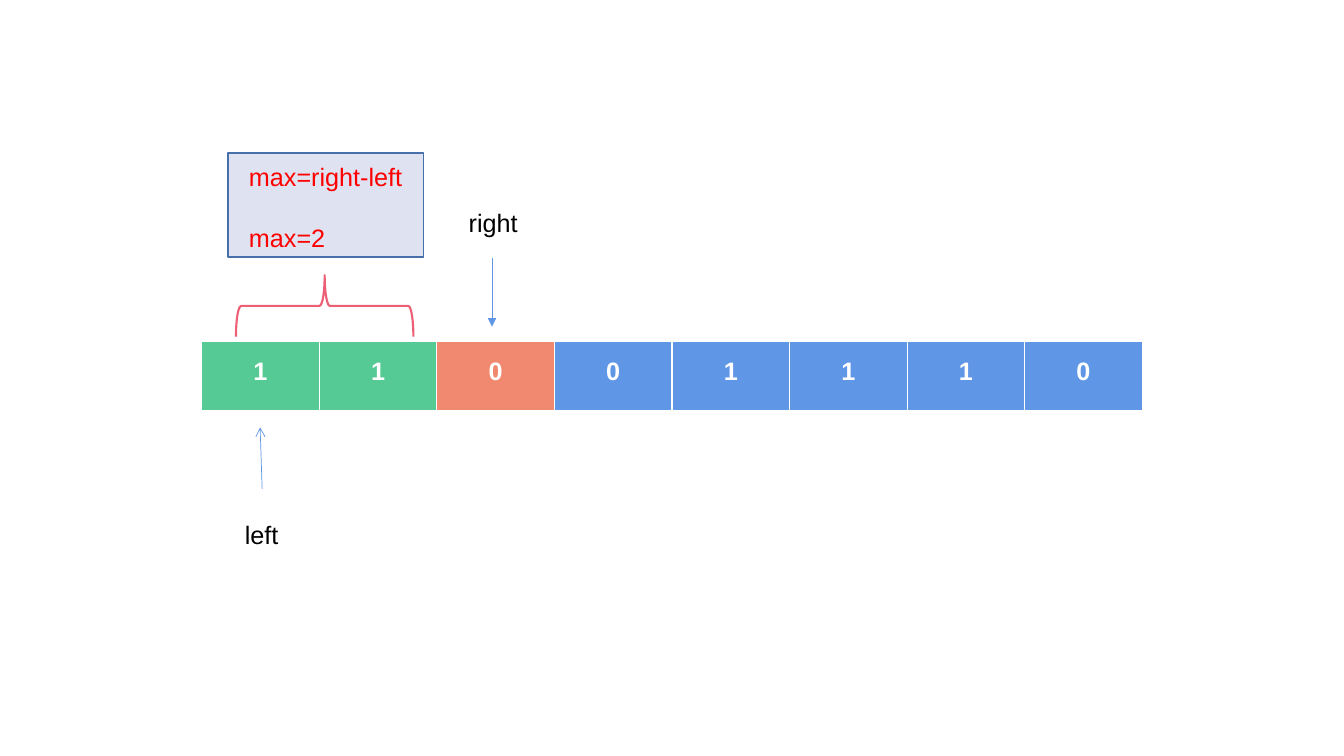
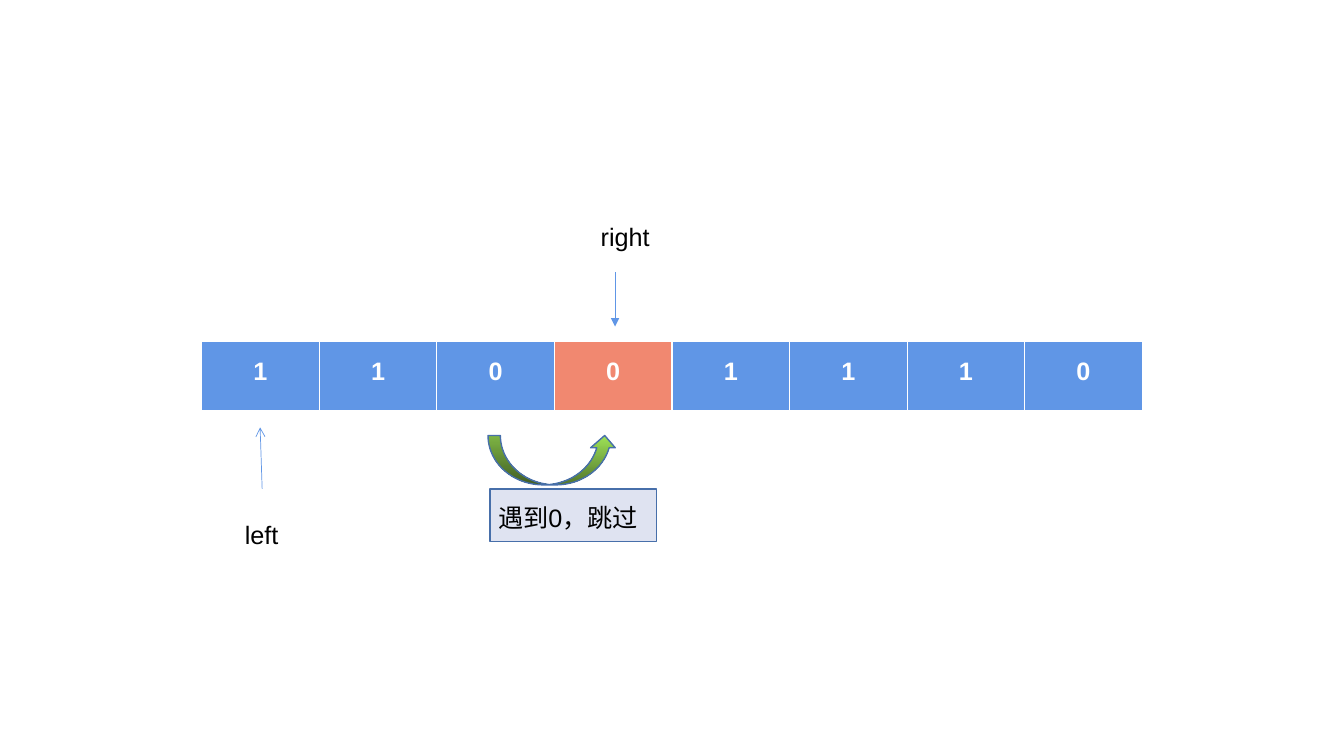
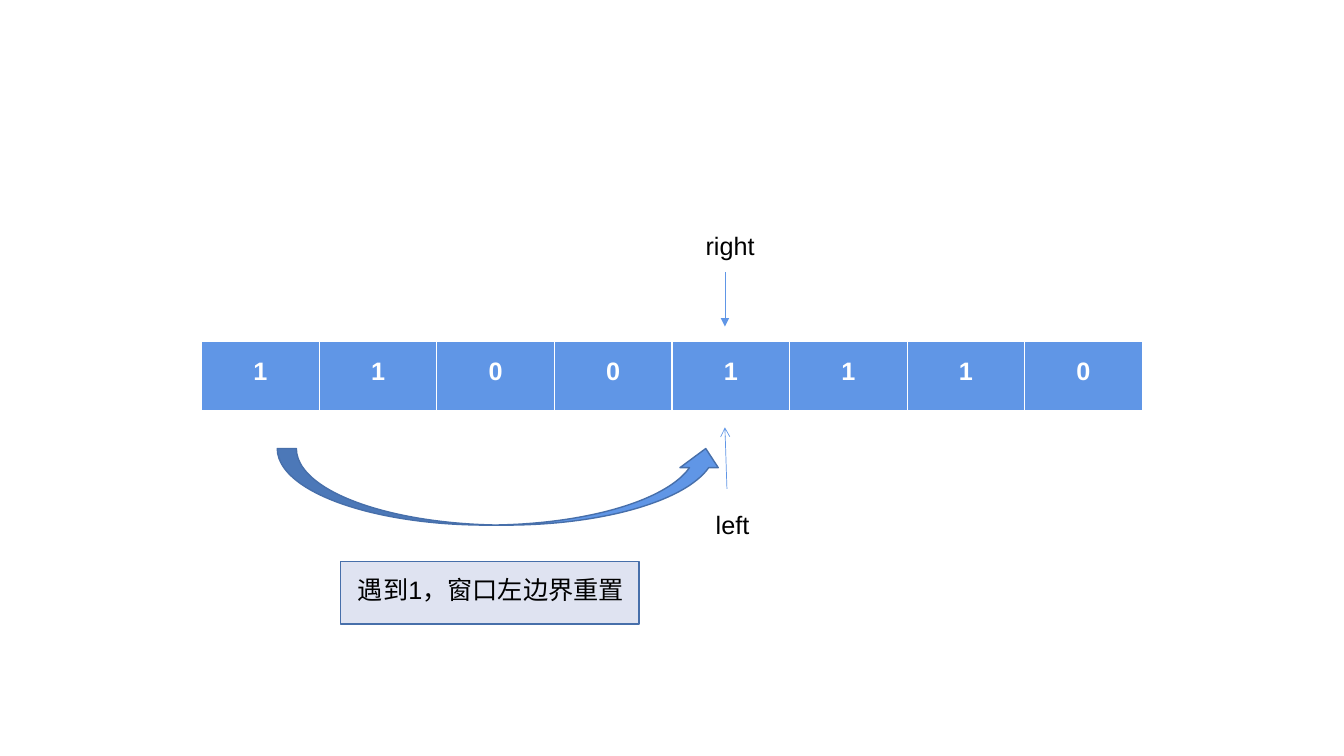
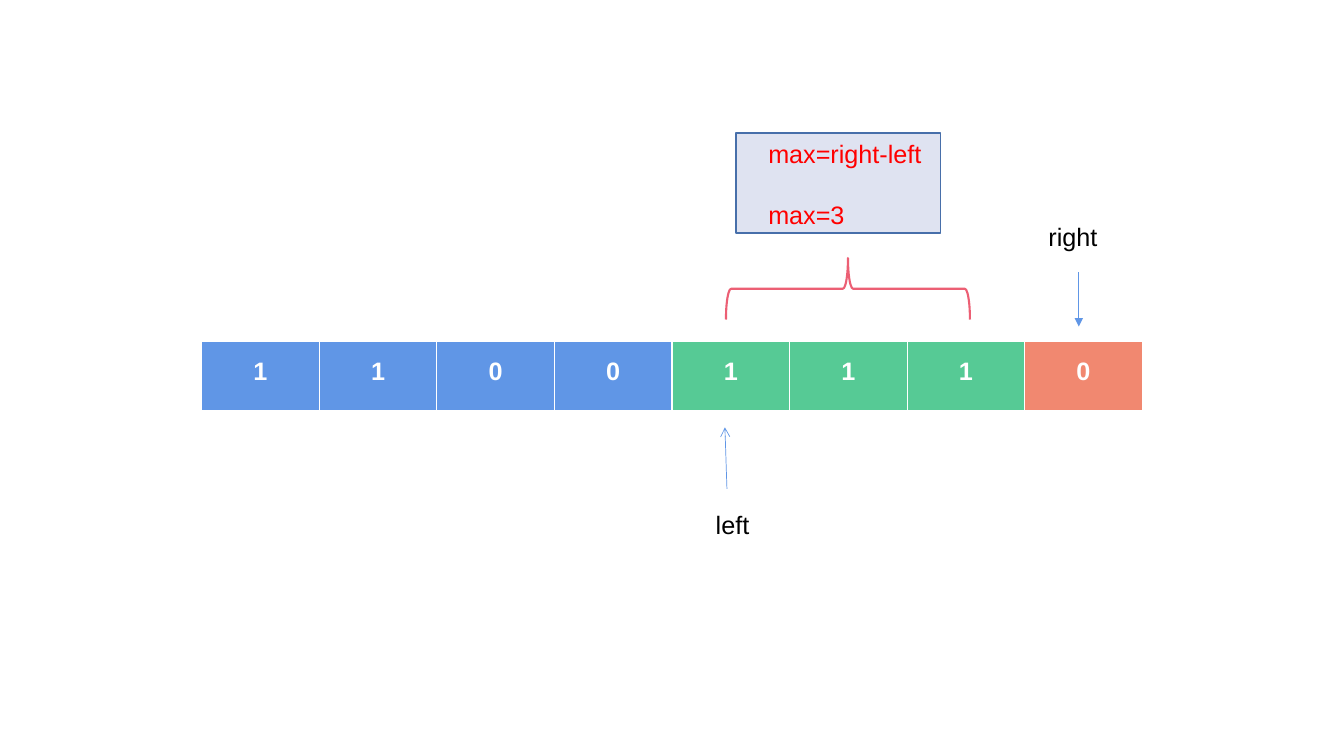
from lxml import etree
from pptx import Presentation
from pptx.dml.color import RGBColor
from pptx.enum.shapes import MSO_CONNECTOR, MSO_SHAPE
from pptx.enum.text import MSO_ANCHOR, PP_ALIGN
from pptx.oxml.ns import qn
from pptx.util import Pt

RECTANGLE = MSO_SHAPE.RECTANGLE
LEFT_BRACE = MSO_SHAPE.LEFT_BRACE
CURVED_ARROW = MSO_SHAPE.CURVED_UP_ARROW
STRAIGHT = MSO_CONNECTOR.STRAIGHT
TOP = MSO_ANCHOR.TOP
LEFT, CENTER = PP_ALIGN.LEFT, PP_ALIGN.CENTER

PX = 9144  # EMU in one px, 100 px to the inch
FONT, TEXT_SIZE = "Arial", 18
COLORS = {
    "cell": "6096E6", "window": "56CA95", "zero": "F18870",
    "note": "DFE3F1", "edge": "476FAA", "brace": "EC5F74",
    "white": "FFFFFF", "black": "000000", "red": "FF0000",
    "leaf": "9EE256", "moss": "52762D",
}

NUMBERS = [1, 1, 0, 0, 1, 1, 1, 0]
ARRAY = (200, 339, 933, 70)
BORDERS = {"a:lnL": 1, "a:lnR": 1, "a:lnT": 1, "a:lnB": 3}
RIGHT_TIP, LEFT_TIP, LEFT_START = 324, 424, 485
BRACE_HEIGHT = 61

# Boxes are left, top, width, height; insets are left, top.
# Pointers give the arrow's x and the label's left and top.
STEPS = [
    {"window": [0, 1], "zero": 2,
     "right": {"x": 488, "start": 256, "label": (455, 201)},
     "left": {"x": 258, "label": (233, 510)},
     "brace": (234, 273, 176),
     "note": {"lines": ["max=right-left", "max=2"], "color": "red",
              "box": (226, 152, 194, 103), "inset": (21, 8)}},
    {"window": [], "zero": 3,
     "right": {"x": 610, "start": 270, "label": (586, 215)},
     "left": {"x": 258, "label": (233, 510)},
     "jump": {"box": (484, 432, 128, 49), "colors": ["leaf", "moss"]},
     "note": {"lines": ["遇到0，跳过"], "color": "black",
              "box": (486, 485, 165, 52), "inset": (8, 13)}},
    {"window": [], "zero": None,
     "right": {"x": 719, "start": 270, "label": (690, 224)},
     "left": {"x": 719, "label": (700, 500)},
     "jump": {"box": (275, 445, 444, 76), "colors": ["cell"]},
     "note": {"lines": ["遇到1，窗口左边界重置"], "color": "black",
              "box": (338, 557, 296, 62), "inset": (17, 13)}},
    {"window": [4, 5, 6], "zero": 7,
     "right": {"x": 1070, "start": 270, "label": (1030, 215)},
     "left": {"x": 719, "label": (700, 500)},
     "brace": (720, 256, 242),
     "note": {"lines": ["max=right-left", "max=3"], "color": "red",
              "box": (730, 132, 203, 99), "inset": (32, 5)}},
]


def rgb(name):
    return RGBColor.from_string(COLORS[name])


def emu(*lengths):
    return [round(length * PX) for length in lengths]


def write(frame, lines, color="black", bold=False, align=LEFT,
          line_spacing=None, gap=0, inset=(10, 5), right_inset=10):
    """Fill a text frame, one paragraph a line, with gap points between."""
    frame.word_wrap = True
    frame.vertical_anchor = TOP
    frame.margin_left, frame.margin_top, frame.margin_right = emu(*inset, right_inset)
    for index, line in enumerate(lines):
        para = frame.add_paragraph() if index else frame.paragraphs[0]
        para.alignment = align
        para.line_spacing = line_spacing
        para.space_before = Pt(gap if index else 0)
        span = para.add_run()
        span.text = line
        span.font.name, span.font.size, span.font.bold = FONT, Pt(TEXT_SIZE), bold
        span.font.color.rgb = rgb(color)


def add_outlined(slide, kind, box, line="edge", width=1):
    shape = slide.shapes.add_shape(kind, *emu(*box))
    shape.shadow.inherit = False
    shape.line.color.rgb = rgb(line)
    shape.line.width = Pt(width)
    return shape


def add_note(slide, lines, color, box, inset):
    note = add_outlined(slide, RECTANGLE, box)
    note.fill.solid()
    note.fill.fore_color.rgb = rgb("note")
    write(note.text_frame, lines, color=color, gap=22, inset=inset, right_inset=0)


def add_array(slide, window, zero):
    frame = slide.shapes.add_table(1, len(NUMBERS), *emu(*ARRAY))
    table = frame.table
    table.first_row = table.horz_banding = False
    for index, number in enumerate(NUMBERS):
        cell = table.cell(0, index)
        write(cell.text_frame, [str(number)], color="white", bold=True,
              align=CENTER, line_spacing=1.4)
        cell_properties = cell._tc.get_or_add_tcPr()
        for tag, width in BORDERS.items():
            border = etree.SubElement(cell_properties, qn(tag), w=str(Pt(width)))
            fill = etree.SubElement(border, qn("a:solidFill"))
            etree.SubElement(fill, qn("a:srgbClr"), val=COLORS["white"])
        cell.fill.solid()
        role = "window" if index in window else "zero" if index == zero else "cell"
        cell.fill.fore_color.rgb = rgb(role)


def add_pointer(slide, name, start, end, head, label):
    arrow = slide.shapes.add_connector(STRAIGHT, *emu(*start, *end))
    arrow.line.color.rgb = rgb("cell")
    arrow.line.width = Pt(0.5)
    etree.SubElement(arrow.line._get_or_add_ln(), qn("a:tailEnd"), type=head)
    etree.SubElement(arrow._element.spPr, qn("a:effectLst"))
    box = slide.shapes.add_textbox(*emu(*label, 124, 40))
    write(box.text_frame, [name])


def add_brace(slide, left, top, width):
    """Draw a brace over the window; its frame is upright before turning."""
    box = (left + (width - BRACE_HEIGHT) / 2, top - (width - BRACE_HEIGHT) / 2,
           BRACE_HEIGHT, width)
    brace = add_outlined(slide, LEFT_BRACE, box, line="brace", width=1.5)
    brace.rotation = 90
    brace.fill.background()


def add_jump(slide, box, colors):
    jump = add_outlined(slide, CURVED_ARROW, box)
    if len(colors) == 1:
        jump.fill.solid()
        jump.fill.fore_color.rgb = rgb(colors[0])
        return
    jump.fill.gradient()
    jump.fill.gradient_angle = 270
    for stop, color in zip(jump.fill.gradient_stops, colors):
        stop.color.rgb = rgb(color)


def add_step(deck, step):
    slide = deck.slides.add_slide(deck.slide_layouts[6])
    add_note(slide, **step["note"])
    add_array(slide, step["window"], step["zero"])
    right, left = step["right"], step["left"]
    add_pointer(slide, "right", (right["x"], right["start"]),
                (right["x"], RIGHT_TIP), "triangle", right["label"])
    add_pointer(slide, "left", (left["x"] + 2, LEFT_START),
                (left["x"], LEFT_TIP), "arrow", left["label"])
    if "brace" in step:
        add_brace(slide, *step["brace"])
    if "jump" in step:
        add_jump(slide, **step["jump"])


def main():
    deck = Presentation()
    deck.slide_width, deck.slide_height = emu(1333, 750)
    for step in STEPS:
        add_step(deck, step)
    deck.save("out.pptx")


if __name__ == "__main__":
    main()
